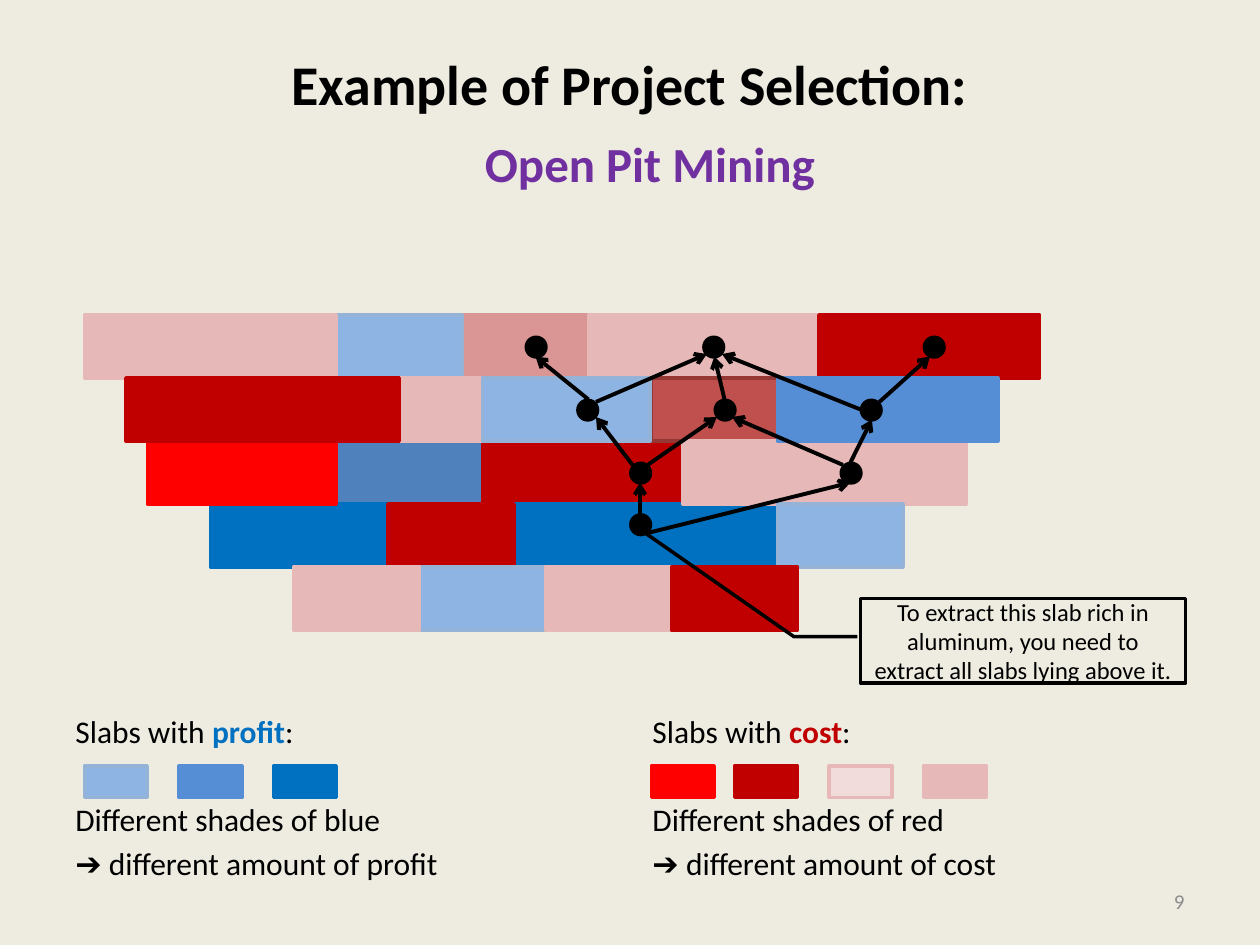
from pptx import Presentation
from pptx.dml.color import RGBColor
from pptx.enum.shapes import MSO_CONNECTOR, MSO_SHAPE as SHAPE
from pptx.enum.text import MSO_ANCHOR as ANCHOR, PP_ALIGN as ALIGN
from pptx.oxml.ns import qn
from pptx.util import Inches, Pt
from lxml.etree import SubElement

FONT = "Calibri"
COLORS = {
    "background": "EEECE1", "black": "000000", "purple": "7030A0", "gray": "8C8C8C",
    "sky": "8EB4E3", "sky edge": "95B3D7", "azure": "558ED5", "blue": "0070C0",
    "steel": "4F81BD", "steel edge": "3A5F8C",
    "red": "FF0000", "crimson": "C00000", "brick": "C0504D", "brick edge": "953735",
    "rose": "D99694", "pink": "E6B9B8", "blush": "F2DCDB",
}
# Slabs whose outline differs from their fill
EDGES = {"sky": "sky edge", "steel": "steel edge", "brick": "brick edge", "blush": "pink"}

PIT_TOP, SLAB_H = 2.5, 0.5
# Row, left, width, color; from back to front
SLABS = [
    (2, 2.67, 1.17, "steel"), (0, 3.67, 1, "rose"), (0, 4.67, 2.67, "pink"),
    (2, 3.83, 1.58, "crimson"), (0, 2.67, 1, "sky"), (3, 1.67, 1.42, "blue"),
    (1, 5.17, 1, "brick"), (1, 3.17, 0.67, "pink"), (2, 1.17, 1.5, "red"),
    (3, 3.92, 2.25, "blue"), (1, 3.83, 1.33, "sky"), (0, 0.67, 2, "pink"),
    (1, 1, 2.17, "crimson"), (0, 6.5, 1.75, "crimson"), (2, 5.42, 2.25, "pink"),
    (1, 6.17, 1.75, "azure"), (3, 3.08, 1, "crimson"), (3, 6.17, 1, "sky"),
    (4, 3.33, 1, "sky"), (4, 4.33, 1, "pink"), (4, 2.33, 1, "pink"),
    (4, 5.33, 1, "crimson"),
]

DOT = 0.17
# Top of each level of dots and the left edges on it
DOTS = {4.08: [5], 3.67: [5, 6.67], 3.17: [6.83, 5.67, 4.58], 2.67: [4.17, 5.58, 7.33]}

# Start and end of each dependency
ARROWS = [
    ((5.08, 4.08), (5.08, 3.83)), ((5.14, 4.23), (6.75, 3.83)),
    ((6.98, 3.19), (7.38, 2.83)), ((6.83, 3.25), (5.73, 2.81)),
    ((4.73, 3.19), (5.61, 2.81)), ((4.67, 3.17), (4.25, 2.83)),
    ((5.75, 3.17), (5.67, 2.83)), ((6.75, 3.67), (6.92, 3.33)),
    ((6.69, 3.69), (5.81, 3.31)), ((5.14, 3.69), (5.69, 3.31)),
    ((5.02, 3.69), (4.73, 3.31)),
]

# Text left, key word, its color, shade, quantity, swatches
LEGENDS = [
    (0.5, "profit", "blue", "blue", [(0.67, "sky"), (1.42, "azure"), (2.17, "blue")]),
    (5.08, "cost", "crimson", "red",
     [(5.17, "red"), (5.83, "crimson"), (6.58, "blush"), (7.33, "pink")]),
]


def rgb(name):
    return RGBColor.from_string(COLORS[name])


def style_font(font, size, color="black", bold=False):
    font.name, font.size, font.bold = FONT, Pt(size), bold
    font.color.rgb = rgb(color)


def add_shape(s, kind, left, top, width, height, fill, edge=None, weight=2):
    sp = s.shapes.add_shape(kind, Inches(left), Inches(top), Inches(width), Inches(height))
    sp.shadow.inherit = False
    sp.fill.solid()
    sp.fill.fore_color.rgb = rgb(fill)
    sp.line.color.rgb = rgb(edge or EDGES.get(fill, fill))
    sp.line.width = Pt(weight)
    return sp


def add_textbox(s, left, top, width, height, wrap=True):
    tf = s.shapes.add_textbox(Inches(left), Inches(top), Inches(width), Inches(height)).text_frame
    tf.word_wrap = wrap
    return tf


def add_arrow(s, start, end):
    x1, y1, x2, y2 = map(Inches, start + end)
    line = s.shapes.add_connector(MSO_CONNECTOR.STRAIGHT, x1, y1, x2, y2)
    line.line.color.rgb = rgb("black")
    line.line.width = Pt(2.25)
    props = line.element.spPr
    SubElement(props.find(qn("a:ln")), qn("a:tailEnd"), type="arrow")
    SubElement(props, qn("a:effectLst"))


def add_title(s, text):
    title = s.shapes.title
    title.left, title.top = Inches(0.5), Inches(0.3)
    title.width, title.height = Inches(9), Inches(1.25)
    tf = title.text_frame
    tf.vertical_anchor = ANCHOR.TOP
    tf.margin_top = Inches(0.09)
    p = tf.paragraphs[0]
    p.text, p.alignment = text, ALIGN.CENTER
    style_font(p.font, 32, bold=True)


def add_legend(s, left, word, color, shade, swatches):
    tf = add_textbox(s, left, 5.6, 4.42, 1.45)
    p = tf.paragraphs[0]
    for text, tint in (("Slabs with ", "black"), (word, color), (":", "black")):
        r = p.add_run()
        r.text = text
        style_font(r.font, 18, tint, bold=text == word)
    # The first gap leaves room for the swatches
    for text, gap in ((f"Different shades of {shade}", 29),
                      (f"➔ different amount of {word}", 3.6)):
        p = tf.add_paragraph()
        p.text, p.space_before = text, Pt(gap)
        style_font(p.font, 18)
    for x, fill in swatches:
        add_shape(s, SHAPE.RECTANGLE, x, 6.08, 0.5, 0.25, fill)


def add_callout(s, text):
    sp = add_shape(s, SHAPE.LINE_CALLOUT_2, 6.83, 4.75, 2.58, 0.67, "background", "black")
    for i, value in enumerate((0.453, -0.01, 0.453, -0.205, -0.782, -0.665)):
        sp.adjustments[i] = value
    tf = sp.text_frame
    tf.word_wrap, tf.vertical_anchor = True, ANCHOR.MIDDLE
    p = tf.paragraphs[0]
    p.text, p.alignment = text, ALIGN.CENTER
    style_font(p.font, 14)


def main():
    prs = Presentation()
    prs.slide_width, prs.slide_height = Inches(10), Inches(7.5)
    s = prs.slides.add_slide(prs.slide_layouts[5])
    s.background.fill.solid()
    s.background.fill.fore_color.rgb = rgb("background")

    add_title(s, "Example of Project Selection:")

    # Pit
    for row, left, width, fill in SLABS:
        add_shape(s, SHAPE.RECTANGLE, left, PIT_TOP + row * SLAB_H, width, SLAB_H, fill)

    for legend in LEGENDS:
        add_legend(s, *legend)

    # Dependency graph
    for top, lefts in DOTS.items():
        for left in lefts:
            add_shape(s, SHAPE.OVAL, left, top, DOT, DOT, "black", weight=1)
    for start, end in ARROWS:
        add_arrow(s, start, end)

    add_callout(s, "To extract this slab rich in aluminum, you need to "
                   "extract all slabs lying above it.")

    # Subtitle
    p = add_textbox(s, 3.75, 1.01, 2.85, 0.57, wrap=False).paragraphs[0]
    p.text = "Open Pit Mining"
    style_font(p.font, 28, "purple", bold=True)

    # Slide number
    tf = add_textbox(s, 7.17, 6.95, 2.33, 0.4)
    tf.vertical_anchor = ANCHOR.MIDDLE
    p = tf.paragraphs[0]
    p.text, p.alignment = "9", ALIGN.RIGHT
    style_font(p.font, 12, "gray")

    prs.save("out.pptx")


if __name__ == "__main__":
    main()
